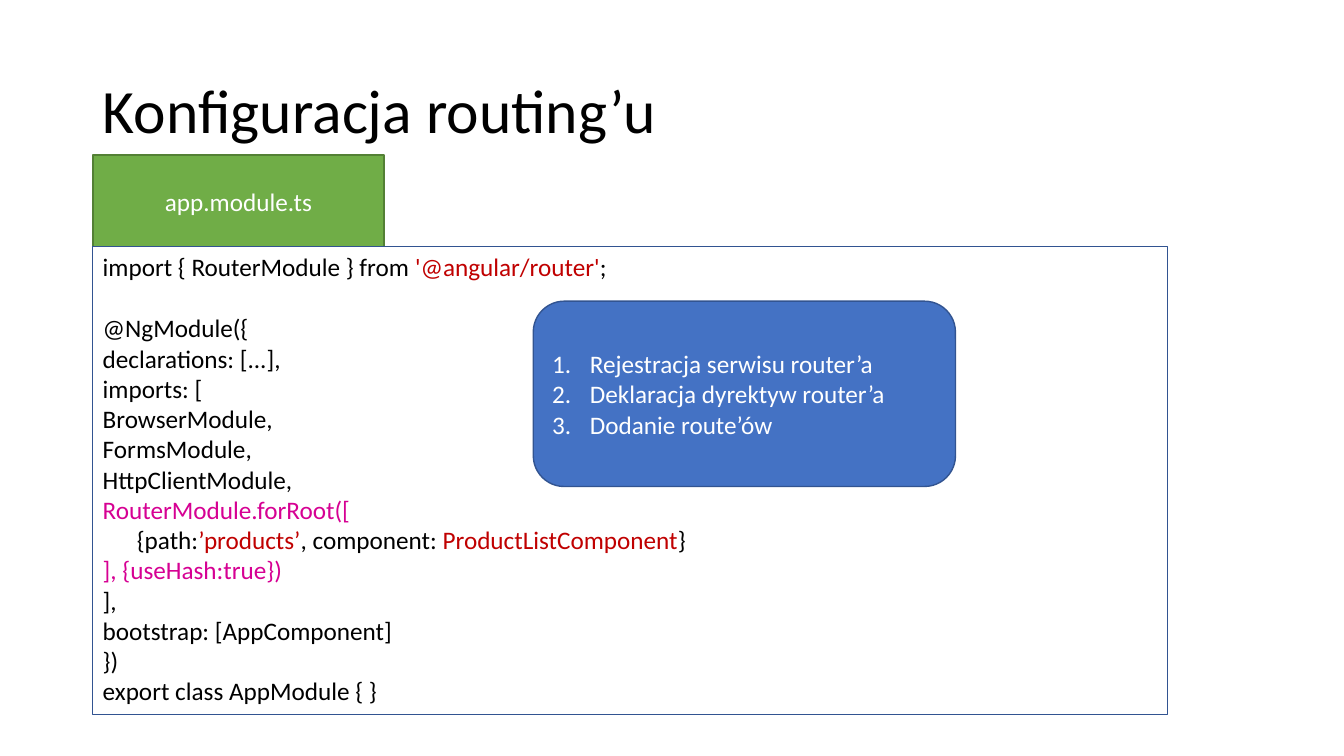
from lxml import etree
from pptx import Presentation
from pptx.dml.color import RGBColor
from pptx.enum.shapes import MSO_SHAPE
from pptx.enum.text import MSO_ANCHOR, MSO_AUTO_SIZE, PP_ALIGN
from pptx.oxml.ns import qn
from pptx.util import Cm, Pt

RECT, ROUND = MSO_SHAPE.RECTANGLE, MSO_SHAPE.ROUNDED_RECTANGLE
TOP, MID = MSO_ANCHOR.TOP, MSO_ANCHOR.MIDDLE
LEFT, MIDDLE = PP_ALIGN.LEFT, PP_ALIGN.CENTER
GROW = MSO_AUTO_SIZE.SHAPE_TO_FIT_TEXT

BLACK = RGBColor(0x00, 0x00, 0x00)
WHITE = RGBColor(0xFF, 0xFF, 0xFF)
RED = RGBColor(0xC0, 0x00, 0x00)
PINK = RGBColor(0xD6, 0x00, 0x93)
GREEN = RGBColor(0x70, 0xAD, 0x47)
MOSS = RGBColor(0x53, 0x80, 0x35)
BLUE = RGBColor(0x44, 0x72, 0xC4)
NAVY = RGBColor(0x32, 0x54, 0x91)

FONT = "Calibri"
TITLE = "Konfiguracja routing’u"
FILE = [[("app.module.ts", WHITE)]]
CODE = [
    [("import { RouterModule } from ", BLACK), ("'@angular/router'", RED), (";", BLACK)],
    [("@NgModule({", BLACK)],
    [("declarations: [...],", BLACK)],
    [("imports: [", BLACK)],
    [("BrowserModule,", BLACK)],
    [("FormsModule,", BLACK)],
    [("HttpClientModule,", BLACK)],
    [("RouterModule.forRoot([", PINK)],
    [("{path:", BLACK), ("’products’", RED), (", component: ", BLACK),
     ("ProductListComponent", RED), ("}", BLACK)],
    [("], {useHash:true})", PINK)],
    [("],", BLACK)],
    [("bootstrap: [AppComponent]", BLACK)],
    [("})", BLACK)],
    [("export class AppModule { }", BLACK)],
]
STEPS = [
    [("Rejestracja serwisu router’a", WHITE)],
    [("Deklaracja dyrektyw router’a", WHITE)],
    [("Dodanie route’ów", WHITE)],
]
GAP_ROW, ROUTE_ROW = 1, 8
EDGE, TAB_TOP, TAB_HIGH = 2.34, 3.91, 2.31


def add_box(slide, kind, place, fill, edge, width, lines, align, anchor):
    box = slide.shapes.add_shape(kind, *map(Cm, place))
    box.shadow.inherit = False
    if fill is None:
        box.fill.background()
    else:
        box.fill.solid()
        box.fill.fore_color.rgb = fill
    box.line.color.rgb = edge
    box.line.width = Pt(width)
    frame = box.text_frame
    frame.word_wrap = True
    frame.vertical_anchor = anchor
    for i, parts in enumerate(lines):
        para = frame.add_paragraph() if i else frame.paragraphs[0]
        para.alignment = align
        para.font.name = FONT
        para.font.size = Pt(18)
        for text, color in parts:
            run = para.add_run()
            run.text = text
            run.font.color.rgb = color
    return frame


def indent(para, left, first=0):
    props = para._p.get_or_add_pPr()
    props.set("marL", str(Cm(left)))
    props.set("indent", str(Cm(first)))
    return props


def number(para):
    props = indent(para, 0.95, -0.95)
    font = etree.Element(qn("a:buFont"), typeface="+mj-lt")
    mark = etree.Element(qn("a:buAutoNum"), type="arabicPeriod")
    at = 0
    for item in (font, mark):
        props.insert(at, item)
        at += 1


def main():
    deck = Presentation()
    deck.slide_width, deck.slide_height = Cm(33.87), Cm(19.05)
    slide = deck.slides.add_slide(deck.slide_layouts[5])

    title = slide.shapes.title
    title.left, title.top, title.width, title.height = map(Cm, (EDGE, 1.02, 29.21, 3.68))
    title.text_frame.text = TITLE
    title.text_frame.vertical_anchor = MID
    head = title.text_frame.paragraphs[0]
    head.alignment = LEFT
    head.line_spacing = 0.9
    head.font.name = FONT
    head.font.size = Pt(44)
    head.font.color.rgb = BLACK

    add_box(slide, RECT, (EDGE, TAB_TOP, 7.34, TAB_HIGH), GREEN, MOSS, 1,
            FILE, MIDDLE, MID)
    code = add_box(slide, RECT, (EDGE, TAB_TOP + TAB_HIGH, 27.08, 11.79), None, NAVY, 0.75,
                   CODE, LEFT, TOP)
    code.auto_size = GROW
    code.paragraphs[GAP_ROW].space_before = Pt(22)
    indent(code.paragraphs[ROUTE_ROW], 0.86)

    steps = add_box(slide, ROUND, (13.44, 7.59, 10.64, 4.67), BLUE, NAVY, 1,
                    STEPS, LEFT, MID)
    for para in steps.paragraphs:
        number(para)

    deck.save("out.pptx")


if __name__ == "__main__":
    main()
